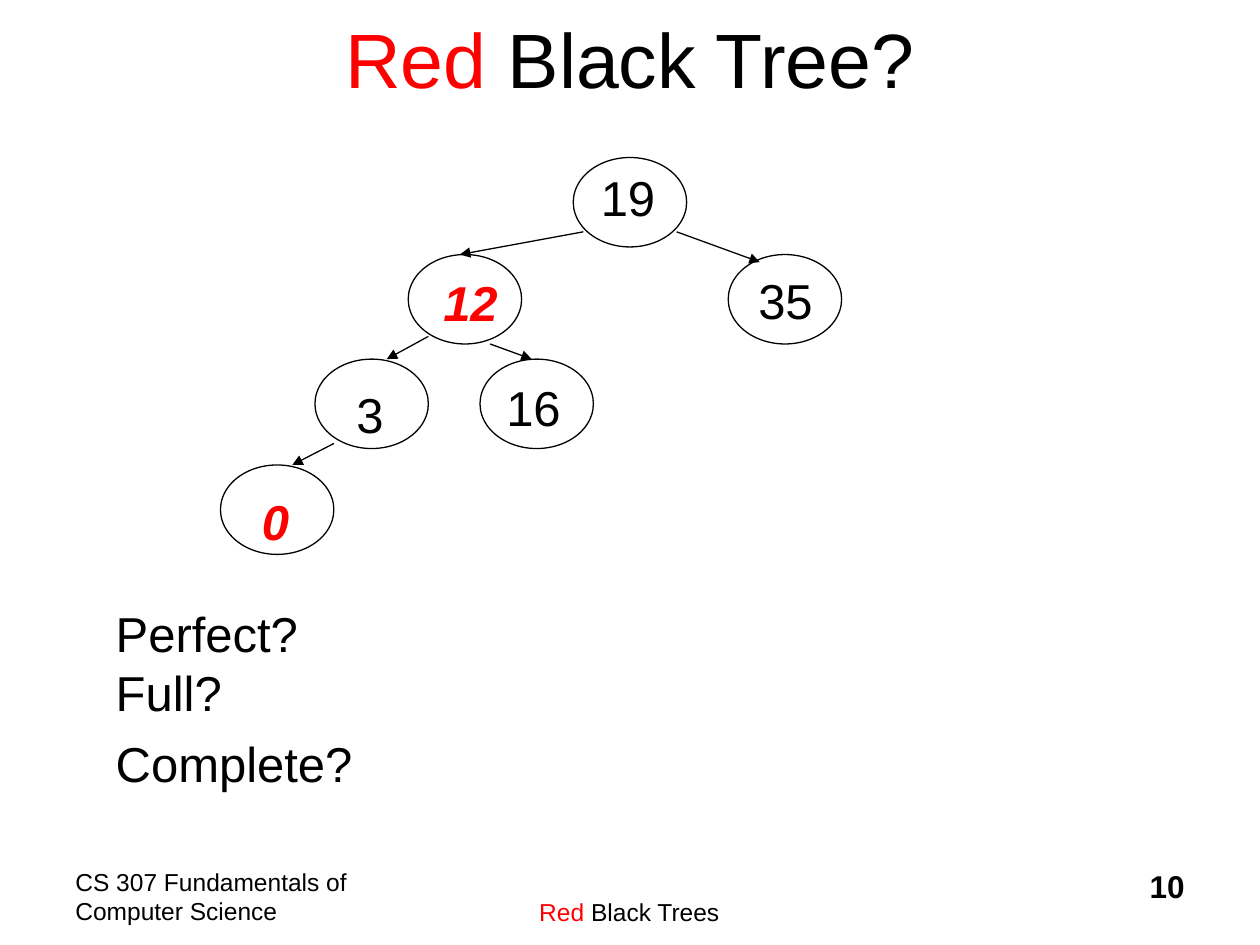
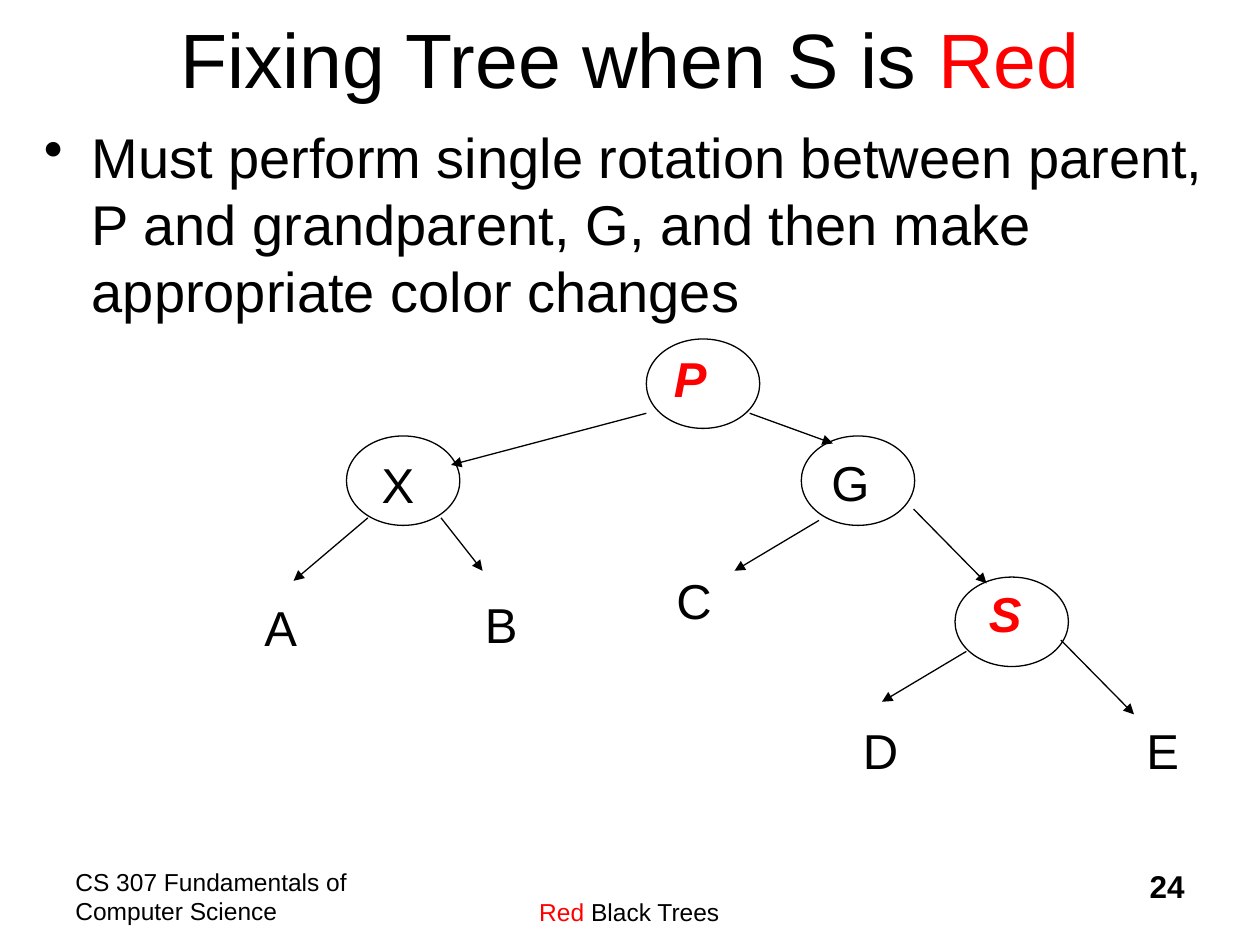
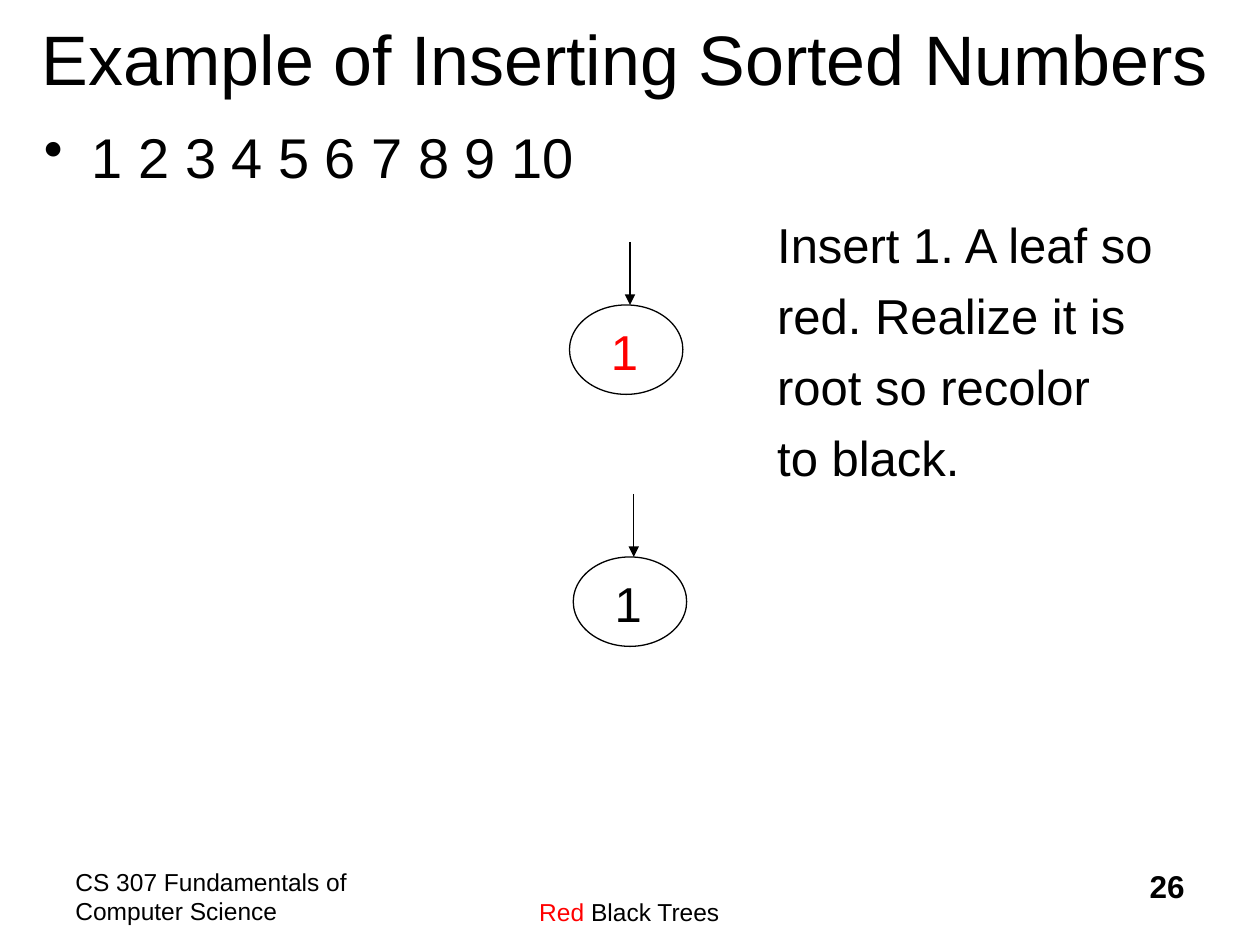
from dataclasses import dataclass

from lxml import etree
from pptx import Presentation
from pptx import util as u
from pptx.dml import color
from pptx.enum import shapes, text
from pptx.oxml import ns

IN = u.Inches


@dataclass(frozen=True)
class Theme:
    font: str = "Arial"
    ink: str = "000000"
    red: str = "FF0000"
    title: int = 44
    small: int = 40
    body: int = 32
    label: int = 28
    page: int = 18
    foot: int = 14
    rule: float = 0.75
    oval: tuple = (0.9, 0.71)
    tall: float = 0.57


THEME = Theme()
RED = {"hue": THEME.red}
HOT = {"hue": THEME.red, "bold": True, "italic": True}
ALIGN = text.PP_ALIGN


def put(item, values):
    for name, value in values.items():
        setattr(item, name, value)


class Deck:
    def __init__(self, theme):
        self.theme = theme
        self.show = Presentation()
        put(self.show, {"slide_width": IN(10), "slide_height": IN(7.5)})
        self.slide = None

    def start(self, runs, page, size=None, left=0.75, width=8.5):
        self.slide = self.show.slides.add_slide(self.show.slide_layouts[5])
        head = self.slide.shapes.title
        put(head, {"left": IN(left), "top": IN(-0.17),
                   "width": IN(width), "height": IN(1.25)})
        put(head.text_frame, {
            "word_wrap": True,
            "auto_size": text.MSO_AUTO_SIZE.NONE,
            "vertical_anchor": text.MSO_ANCHOR.MIDDLE,
        })
        self.fill(head.text_frame, [runs], size or self.theme.title, ALIGN.CENTER)
        self.foot(page)

    def foot(self, page):
        size = self.theme.foot
        self.block(0.5, 6.83, 2.5, 0.5,
                   [["CS 307 Fundamentals of Computer Science"]], size)
        self.block(3.08, 7.07, 3.83, 0.26,
                   [[("Red", RED), " Black Trees"]], size, ALIGN.CENTER)
        self.block(7.42, 6.83, 2.08, 0.5,
                   [[(str(page), {"bold": True})]], self.theme.page, ALIGN.RIGHT)

    def fill(self, frame, paras, size, align=ALIGN.LEFT, gap=0):
        for row, runs in enumerate(paras):
            para = frame.add_paragraph() if row else frame.paragraphs[0]
            put(para, {"alignment": align, "space_before": u.Pt(gap if row else 0)})
            for part in runs:
                words, style = (part, {}) if isinstance(part, str) else part
                self.letter(para, words, size, style)

    def letter(self, para, words, size, style):
        for row, line in enumerate(words.split("\n")):
            if row:
                para.add_line_break()
            run = para.add_run()
            run.text = line
            look = {"name": self.theme.font, "size": u.Pt(size), **style}
            hue = look.pop("hue", self.theme.ink)
            put(run.font, look)
            run.font.color.rgb = color.RGBColor.from_string(hue)

    def block(self, x, y, w, h, paras, size, align=ALIGN.LEFT):
        frame = self.slide.shapes.add_textbox(IN(x), IN(y), IN(w), IN(h)).text_frame
        frame.word_wrap = True
        self.fill(frame, paras, size, align)
        return frame

    def bullet(self, words):
        frame = self.block(0.25, 0.92, 9.5, 6, [[words]], self.theme.body)
        props = frame.paragraphs[0]._p.get_or_add_pPr()
        props.set("marL", str(IN(0.38)))
        props.set("indent", str(IN(-0.38)))
        etree.SubElement(props, ns.qn("a:buChar"), char="•")

    def note(self, x, y, w, lines, h=None, style=None):
        box = self.slide.shapes.add_textbox(
            IN(x), IN(y), IN(w), IN(h or self.theme.tall))
        put(box.text_frame, {
            "word_wrap": False,
            "auto_size": text.MSO_AUTO_SIZE.SHAPE_TO_FIT_TEXT,
        })
        paras = [[(line, style or {})] for line in lines]
        self.fill(box.text_frame, paras, self.theme.label, gap=7)

    def node(self, x, y, key, dx, dy, w, style=None):
        wide, high = self.theme.oval
        oval = self.slide.shapes.add_shape(
            shapes.MSO_SHAPE.OVAL, IN(x), IN(y), IN(wide), IN(high))
        oval.shadow.inherit = False
        oval.fill.background()
        self.ink(oval.line)
        self.note(x + dx, y + dy, w, [key], style=style)

    def ink(self, line):
        line.color.rgb = color.RGBColor.from_string(self.theme.ink)
        line.width = u.Pt(self.theme.rule)

    def arrow(self, *ends):
        link = self.slide.shapes.add_connector(
            shapes.MSO_CONNECTOR.STRAIGHT, *map(IN, ends))
        self.ink(link.line)
        props = link._element.spPr
        etree.SubElement(props.find(ns.qn("a:ln")), ns.qn("a:tailEnd"), type="triangle")
        etree.SubElement(props, ns.qn("a:effectLst"))

    def tree(self, nodes, links):
        for node in nodes:
            self.node(*node)
        for link in links:
            self.arrow(*link)


def check(deck):
    deck.start([("Red", RED), " Black Tree?"], 10)
    deck.tree(
        [
            (4.55, 1.25, "19", 0.12, 0.03, 0.63),
            (3.24, 2.02, "12", 0.18, 0.09, 0.63, HOT),
            (5.78, 2.02, "35", 0.14, 0.08, 0.63),
            (2.5, 2.85, "3", 0.23, 0.15, 0.41),
            (3.81, 2.85, "16", 0.11, 0.1, 0.63),
            (1.75, 3.69, "0", 0.23, 0.16, 0.41, HOT),
        ],
        [
            (4.63, 1.84, 3.65, 2.02),
            (5.37, 1.84, 6.03, 2.08),
            (3.4, 2.67, 3.07, 2.85),
            (3.89, 2.73, 4.22, 2.85),
            (2.65, 3.52, 2.32, 3.69),
        ],
    )
    deck.note(0.82, 4.74, 2.08, ["Perfect?\nFull?", "Complete?"], 1.6)


def rotate(deck):
    deck.start(["Fixing Tree when S is ", ("Red", RED)], 24)
    deck.bullet("Must perform single rotation between parent, P and grandparent, G, "
                "and then make appropriate color changes")
    deck.tree(
        [
            (5.13, 2.69, "P", 0.12, 0.03, 0.46, HOT),
            (2.75, 3.46, "X", 0.18, 0.1, 0.46),
            (6.36, 3.46, "G", 0.14, 0.08, 0.5),
            (7.58, 4.58, "S", 0.17, 0, 0.46, HOT),
        ],
        [
            (5.13, 3.28, 3.58, 3.69),
            (5.95, 3.28, 6.61, 3.52),
            (7.25, 4.04, 7.83, 4.63),
            (6.5, 4.13, 5.83, 4.53),
            (2.92, 4.11, 2.33, 4.61),
            (3.5, 4.11, 3.83, 4.53),
            (8.42, 5.08, 9, 5.67),
            (7.67, 5.17, 7, 5.57),
        ],
    )
    for key, x, y, w in [
        ("A", 2, 4.69, 0.46),
        ("B", 3.75, 4.67, 0.46),
        ("C", 5.27, 4.48, 0.48),
        ("D", 6.75, 5.67, 0.48),
        ("E", 9, 5.67, 0.46),
    ]:
        deck.note(x, y, w, [key])


def insert(deck):
    deck.start(["Example of Inserting Sorted Numbers"], 26, THEME.small, 0.17, 9.58)
    deck.bullet("1 2 3 4 5 6 7 8 9 10")
    for x, y, style in [(4.52, 2.42, RED), (4.55, 4.42, {})]:
        deck.node(x, y, "1", 0.23, 0.08, 0.41, style)
        deck.arrow(x + 0.48, y - 0.5, x + 0.48, y)
    deck.note(6.07, 1.65, 3.33, ["Insert 1. A leaf so", "red. Realize it is",
                                 "root so recolor", "to black."], 2.26)


def main():
    deck = Deck(THEME)
    for build in (check, rotate, insert):
        build(deck)
    deck.show.save("out.pptx")


if __name__ == "__main__":
    main()
